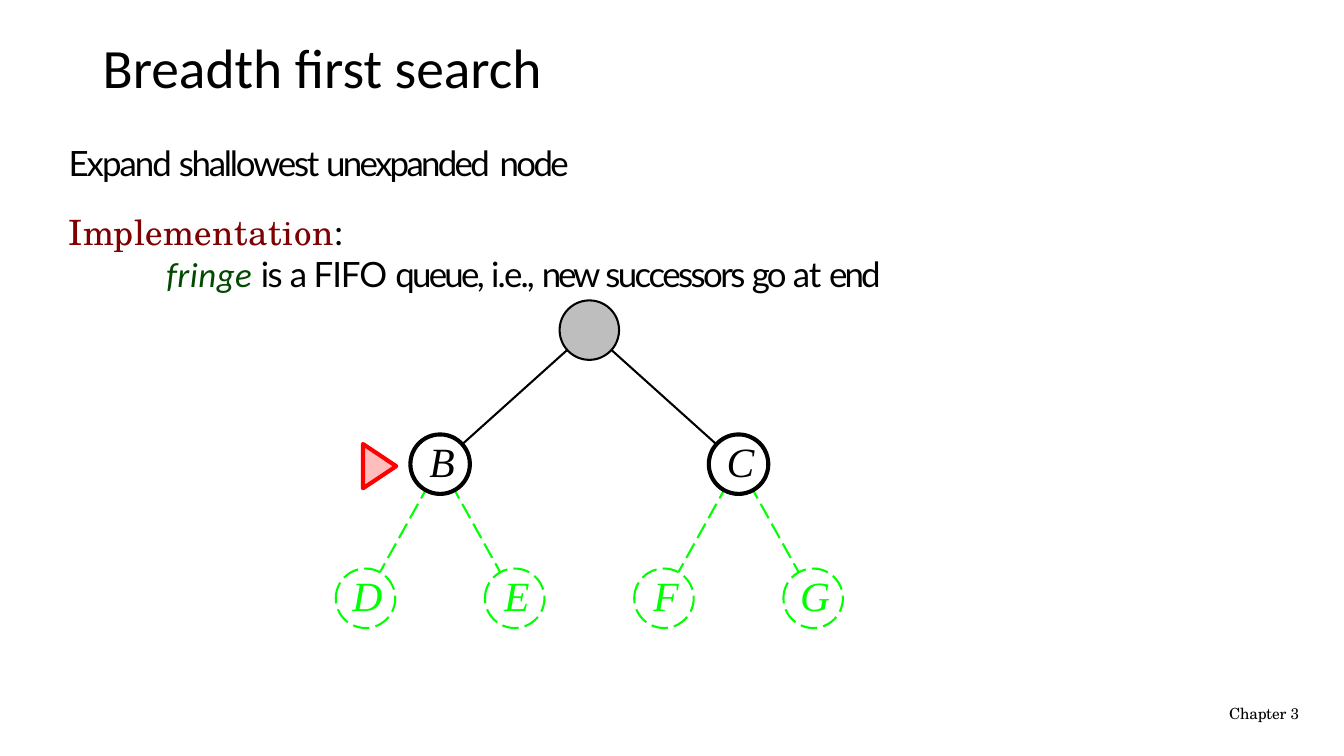
from dataclasses import dataclass

from pptx import Presentation
from pptx.dml.color import RGBColor
from pptx.enum.dml import MSO_LINE
from pptx.enum.shapes import MSO_CONNECTOR, MSO_SHAPE
from pptx.enum.text import MSO_ANCHOR, PP_ALIGN
from pptx.oxml.ns import qn
from pptx.util import Inches, Pt


@dataclass(frozen=True)
class Theme:
    black: str = "000000"
    white: str = "FFFFFF"
    heading: str = "7E0000"
    term: str = "004B00"
    expanded: str = "BEBEBE"
    unseen: str = "00FF00"
    marker: str = "FF0000"
    marker_fill: str = "FFBEBE"
    sans: str = "Lato"
    title_font: str = "Calibri"
    serif: str = "TeX Gyre Schola"
    node_font: str = "Times New Roman"
    title_size: float = 39.6
    body_size: float = 24.9
    node_size: float = 29.7
    footer_size: float = 11
    thin: float = 1.48
    thick: float = 2.95


T = Theme()
rgb = RGBColor.from_string

# Body paragraphs: indent, space before, runs (text, letter spacing, font, colour)
BODY = [
    (0.02, 1.4, [("Expand ", -1.4, T.sans, T.black),
                 ("shallowest ", -1.6, T.sans, T.black),
                 ("unexpanded  node", -1.9, T.sans, T.black)]),
    (0.02, 18.9, [("Implementation", 0.4, T.serif, T.heading),
                  (":", 0.4, T.sans, T.black)]),
    (0.99, 0.4, [("fringe ", 0.4, T.title_font, T.term)]
     + [(word, spacing, T.sans, T.black) for word, spacing in (
         ("is ", -1.2), ("a ", -1.8), ("FIFO ", -0.7), ("queue, ", -1.9),
         ("i.e., ", -1.3), ("new ", -2.3), ("successors ", -1.8),
         ("go ", -1.9), ("at ", -0.8), ("end", -2))]),
]

# Tree nodes: label, parent, level, column (in leaf half-gaps), state
NODES = [
    ("", None, 0, 3, "expanded"),
    ("B", 0, 1, 1, "fringe"),
    ("C", 0, 1, 5, "fringe"),
    ("D", 1, 2, 0, "unseen"),
    ("E", 1, 2, 2, "unseen"),
    ("F", 2, 2, 4, "unseen"),
    ("G", 2, 2, 6, "unseen"),
]
# State: fill, line colour, line width, dash
STATES = {
    "expanded": (T.expanded, T.black, T.thin, None),
    "fringe": (T.white, T.black, T.thick, None),
    "unseen": (T.white, T.unseen, T.thin, MSO_LINE.LONG_DASH),
}


def add_run(p, text, font, size, color, spacing=0, italic=False):
    r = p.add_run()
    r.text = text
    r.font.name, r.font.size, r.font.italic = font, Pt(size), italic
    r.font.color.rgb = rgb(color)
    if spacing:
        r._r.get_or_add_rPr().set("spc", str(round(spacing * 100)))


def set_insets(tf, left=0, top=0, right=0, bottom=0):
    tf.margin_left, tf.margin_top = Inches(left), Inches(top)
    tf.margin_right, tf.margin_bottom = Inches(right), Inches(bottom)


def add_text_frame(slide, box):
    tf = slide.shapes.add_textbox(*map(Inches, box)).text_frame
    tf.word_wrap = True
    return tf


def set_indent(p, inches):
    p._p.get_or_add_pPr().set("marL", str(Inches(inches)))


def style_line(line, color, width, dash=None):
    line.color.rgb = rgb(color)
    line.width = Pt(width)
    if dash:
        line.dash_style = dash


def add_filled_shape(slide, kind, box, fill, line_style):
    sp = slide.shapes.add_shape(kind, *map(Inches, box))
    sp.shadow.inherit = False
    sp.fill.solid()
    sp.fill.fore_color.rgb = rgb(fill)
    style_line(sp.line, *line_style)
    return sp


def add_title(slide, box):
    tf = add_text_frame(slide, box)
    tf.vertical_anchor = MSO_ANCHOR.MIDDLE
    p = tf.paragraphs[0]
    p.line_spacing = 0.9
    add_run(p, "Breadth first search", T.title_font, T.title_size, T.black)


def add_body(slide, box):
    tf = add_text_frame(slide, box)
    set_insets(tf, top=0.02)
    for i, (indent, before, runs) in enumerate(BODY):
        p = tf.add_paragraph() if i else tf.paragraphs[0]
        set_indent(p, indent)
        p.space_before = Pt(before)
        for text, spacing, font, color in runs:
            add_run(p, text, font, T.body_size, color, spacing, color == T.term)


def add_edge(slide, start, end, line_style):
    edge = slide.shapes.add_connector(
        MSO_CONNECTOR.STRAIGHT, *map(Inches, start + end))
    style_line(edge.line, *line_style)
    props = edge._element.spPr
    props.append(props.makeelement(qn("a:effectLst"), {}))


def add_node(slide, center, diameter, label, state):
    x, y = center
    fill, *line_style = STATES[state]
    sp = add_filled_shape(
        slide, MSO_SHAPE.OVAL,
        (x - diameter / 2, y - diameter / 2, diameter, diameter),
        fill, line_style)
    if label:
        tf = sp.text_frame
        tf.word_wrap = False
        tf.vertical_anchor = MSO_ANCHOR.MIDDLE
        set_insets(tf, left=0.04, bottom=0.06)
        p = tf.paragraphs[0]
        p.alignment = PP_ALIGN.CENTER
        add_run(p, label, T.node_font, T.node_size, line_style[0], 0.2, True)


def add_tree(slide, box, diameter=0.59):
    """Draw edges, then nodes, then the marker beside the next node to expand."""
    left, top, width, height = box
    column_gap = (width - diameter) / 6
    level_gap = (height - diameter) / 2
    centers = [(left + diameter / 2 + column * column_gap,
                top + diameter / 2 + level * level_gap)
               for _, _, level, column, _ in NODES]
    for center, (_, parent, _, _, state) in zip(centers, NODES):
        if parent is not None:
            _, color, _, dash = STATES[state]
            add_edge(slide, centers[parent], center, (color, T.thin, dash))
    for center, (label, _, _, _, state) in zip(centers, NODES):
        add_node(slide, center, diameter, label, state)
    add_marker(slide, (centers[1][0] - 0.6, centers[1][1] + 0.02))


def add_marker(slide, center, base=0.44, depth=0.33):
    x, y = center
    sp = add_filled_shape(
        slide, MSO_SHAPE.ISOSCELES_TRIANGLE,
        (x - base / 2, y - depth / 2, base, depth),
        T.marker_fill, (T.marker, T.thick))
    sp.rotation = 90


def add_footer(slide, box):
    tf = add_text_frame(slide, box)
    set_insets(tf)
    p = tf.paragraphs[0]
    set_indent(p, 0.02)
    p.line_spacing = Pt(10.4)
    add_run(p, "Chapter 3", T.serif, T.footer_size, T.black, -0.1)


def main():
    prs = Presentation()
    prs.slide_width, prs.slide_height = Inches(13.33), Inches(7.5)
    slide = prs.slides.add_slide(prs.slide_layouts[6])
    add_body(slide, (0.66, 1.39, 8.37, 1.6))
    add_tree(slide, (3.33, 2.98, 5.03, 3.25))
    add_footer(slide, (12.17, 7.02, 0.75, 0.14))
    add_title(slide, (0.92, 0.4, 11.25, 0.6))
    prs.save("out.pptx")


if __name__ == "__main__":
    main()
